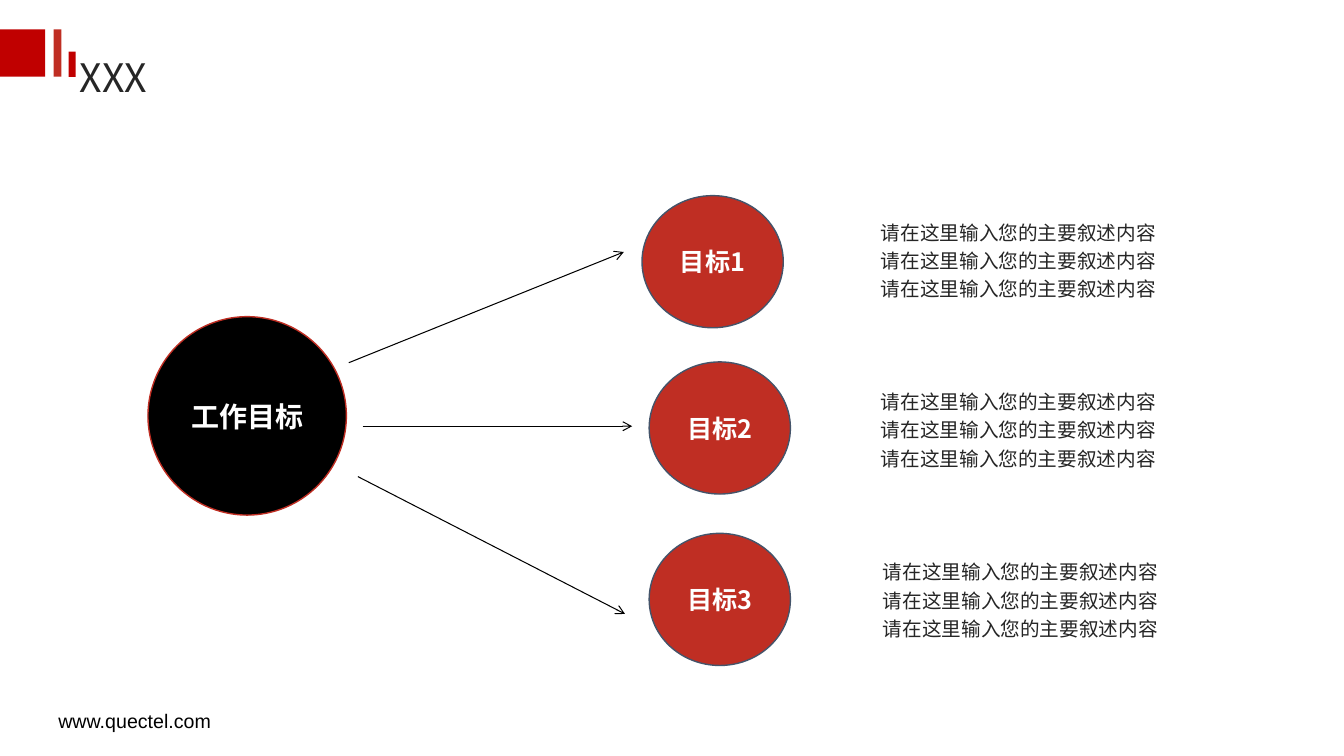
"""Build a slide that links one work goal to three targets with descriptions."""
from lxml import etree
from pptx import Presentation
from pptx import util as u
from pptx.dml.color import RGBColor
from pptx.enum import shapes, text
from pptx.oxml import ns

BLACK, WHITE, INK = "000000", "FFFFFF", "262626"
RED, BRIGHT_RED, SLATE = "BF2E23", "C00000", "44546A"
DESCRIPTION = ["请在这里输入您的主要叙述内容"] * 3


def color(value):
    return RGBColor.from_string(value)


class GoalSlide:
    font_name = "Noto Sans CJK SC"

    def __init__(self, presentation):
        self.slide = presentation.slides.add_slide(presentation.slide_layouts[6])

    def fill_text(self, frame, lines, size, fill, font=font_name, spacing=None,
                  align=text.PP_ALIGN.LEFT, bold=False):
        for index, line in enumerate(lines):
            paragraph = frame.add_paragraph() if index else frame.paragraphs[0]
            paragraph.text = line
            paragraph.alignment = align
            paragraph.line_spacing = spacing
            paragraph.font.size = u.Pt(size)
            paragraph.font.bold = bold
            paragraph.font.color.rgb = color(fill)
            paragraph.font.name = font
            properties = paragraph._p.pPr.find(ns.qn("a:defRPr"))
            etree.SubElement(properties, ns.qn("a:ea"), typeface=font)

    def text_box(self, box, lines, size, fill, margins=(0.25, 0.13),
                 anchor=text.MSO_ANCHOR.MIDDLE, grow=False, **style):
        frame = self.slide.shapes.add_textbox(*map(u.Cm, box)).text_frame
        frame.word_wrap = True
        frame.vertical_anchor = anchor
        frame.margin_left = frame.margin_right = u.Cm(margins[0])
        frame.margin_top = frame.margin_bottom = u.Cm(margins[1])
        if grow:
            frame.auto_size = text.MSO_AUTO_SIZE.SHAPE_TO_FIT_TEXT
        self.fill_text(frame, lines, size, fill, **style)

    def shape(self, kind, box, fill, line=None):
        shape = self.slide.shapes.add_shape(kind, *map(u.Cm, box))
        shape.shadow.inherit = False
        shape.fill.solid()
        shape.fill.fore_color.rgb = color(fill)
        if line:
            shape.line.color.rgb = color(line)
            shape.line.width = u.Pt(1)
        else:
            shape.line.fill.background()
        return shape

    def bar(self, box, fill):
        self.shape(shapes.MSO_SHAPE.RECTANGLE, box, fill)

    def circle(self, box, label, size, fill, line):
        shape = self.shape(shapes.MSO_SHAPE.FLOWCHART_CONNECTOR, box, fill, line)
        frame = shape.text_frame
        frame.vertical_anchor = text.MSO_ANCHOR.MIDDLE
        self.fill_text(frame, [label], size, WHITE, align=text.PP_ALIGN.CENTER, bold=True)

    def arrow(self, start, end):
        connector = self.slide.shapes.add_connector(
            shapes.MSO_CONNECTOR.STRAIGHT, *map(u.Cm, start + end))
        connector.line.color.rgb = color(BLACK)
        connector.line.width = u.Pt(0.75)
        properties = connector._element.spPr
        line = properties.find(ns.qn("a:ln"))
        etree.SubElement(line, ns.qn("a:tailEnd"), type="arrow")
        etree.SubElement(properties, ns.qn("a:effectLst"))


def main():
    presentation = Presentation()
    presentation.slide_width = u.Cm(33.87)
    presentation.slide_height = u.Cm(19.05)
    page = GoalSlide(presentation)

    page.text_box((1.22, 17.81, 30.73, 0.79), ["www.quectel.com"], 14, BLACK,
                  font="Arial", spacing=0.9)
    page.text_box((1.73, 1.42, 30.73, 0.79), ["XXX"], 28, INK,
                  margins=(0.28, 0.15), spacing=u.Pt(40))
    page.bar((0, 0.74, 1.14, 1.19), BRIGHT_RED)
    page.bar((1.35, 0.74, 0.2, 1.19), RED)
    page.bar((1.73, 1.3, 0.18, 0.64), BRIGHT_RED)

    page.circle((3.73, 7.98, 5, 5), "工作目标", 20, BLACK, RED)
    targets = [
        ((8.79, 9.14), (15.72, 6.35), (16.18, 4.93), (21.95, 5.31)),
        ((9.14, 10.74), (15.93, 10.74), (16.36, 9.12), (21.95, 9.58)),
        ((9.02, 12.01), (15.75, 15.47), (16.36, 13.44), (22, 13.87)),
    ]
    for number, (start, end, circle, description) in enumerate(targets, 1):
        page.arrow(start, end)
        page.circle((*circle, 3.56, 3.33), f"目标{number}", 18, RED, SLATE)
        page.text_box((*description, 8.99, 2.41), DESCRIPTION, 14, INK,
                      anchor=text.MSO_ANCHOR.TOP, grow=True, spacing=1.2)

    presentation.save("out.pptx")


if __name__ == "__main__":
    main()
